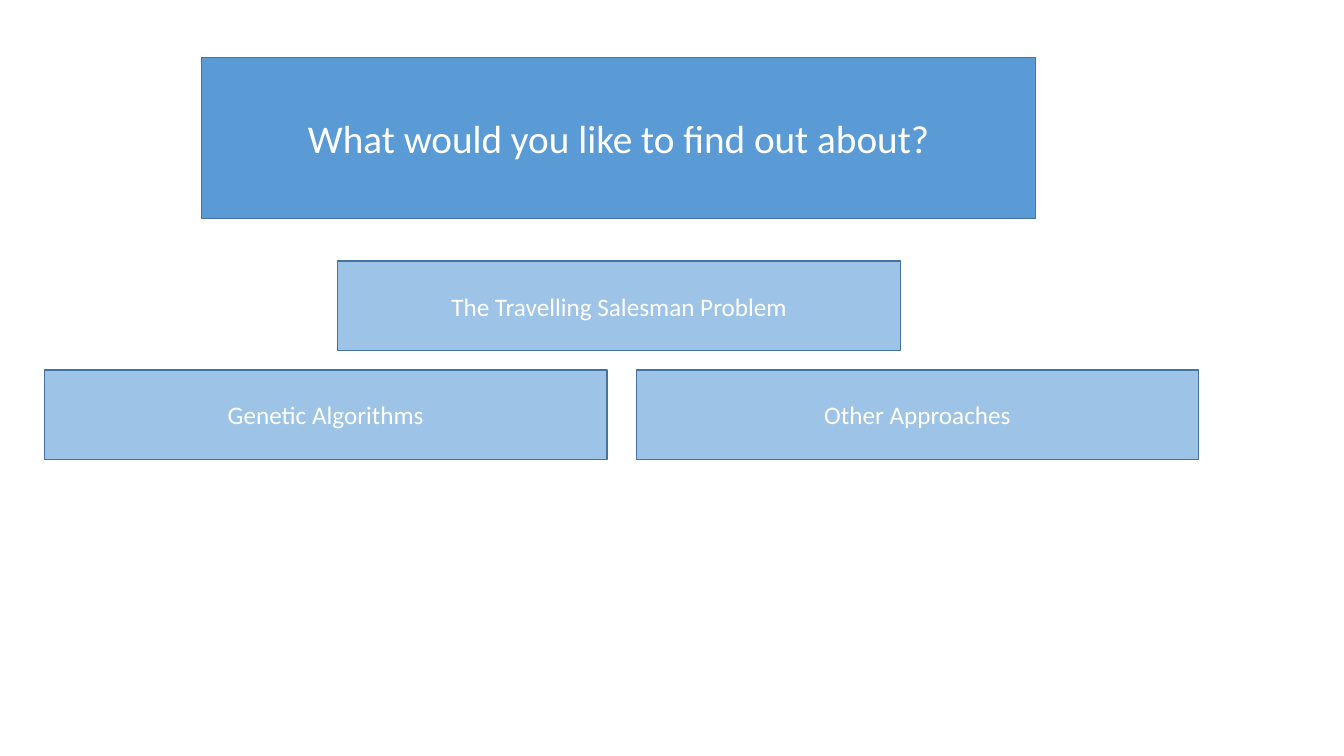
"""Build the topic menu slide with its question and three choices."""
from dataclasses import dataclass

from pptx import Presentation
from pptx.dml.color import RGBColor
from pptx.enum.shapes import MSO_SHAPE
from pptx.enum.text import MSO_ANCHOR, MSO_AUTO_SIZE, PP_ALIGN
from pptx.util import Inches, Pt


@dataclass(frozen=True)
class Theme:
    font: str = "Calibri"
    title_size: int = 28
    choice_size: int = 18
    line_width: int = 1
    text: str = "FFFFFF"
    title_fill: str = "5B9BD5"
    choice_fill: str = "9DC3E6"
    line: str = "43739E"


class MenuSlide:
    def __init__(self, prs, theme):
        self.theme = theme
        self.slide = prs.slides.add_slide(prs.slide_layouts[5])

    def title(self, text, left, top, width, height):
        sp = self.slide.shapes.title
        sp.left, sp.top = Inches(left), Inches(top)
        sp.width, sp.height = Inches(width), Inches(height)
        self.style(sp, text, self.theme.title_fill, self.theme.title_size)

    def choice(self, text, left, top, width, height):
        sp = self.slide.shapes.add_shape(
            MSO_SHAPE.RECTANGLE, Inches(left), Inches(top), Inches(width), Inches(height)
        )
        sp.shadow.inherit = False
        self.style(sp, text, self.theme.choice_fill, self.theme.choice_size)

    def style(self, sp, text, fill, size):
        sp.fill.solid()
        sp.fill.fore_color.rgb = RGBColor.from_string(fill)
        sp.line.color.rgb = RGBColor.from_string(self.theme.line)
        sp.line.width = Pt(self.theme.line_width)
        tf = sp.text_frame
        tf.text = text
        tf.word_wrap = True
        tf.auto_size = MSO_AUTO_SIZE.NONE
        tf.vertical_anchor = MSO_ANCHOR.MIDDLE
        p = tf.paragraphs[0]
        p.alignment = PP_ALIGN.CENTER
        p.font.name = self.theme.font
        p.font.size = Pt(size)
        p.font.color.rgb = RGBColor.from_string(self.theme.text)


def main():
    prs = Presentation()
    prs.slide_width, prs.slide_height = Inches(13.33), Inches(7.5)
    menu = MenuSlide(prs, Theme())
    menu.title("What would you like to find out about?", 2, 0.57, 8.27, 1.6)
    choices = [
        ("The Travelling Salesman Problem", 3.35, 2.59),
        ("Genetic Algorithms", 0.44, 3.67),
        ("Other Approaches", 6.31, 3.67),
    ]
    for text, left, top in choices:
        menu.choice(text, left, top, 5.58, 0.89)
    prs.save("out.pptx")


if __name__ == "__main__":
    main()
